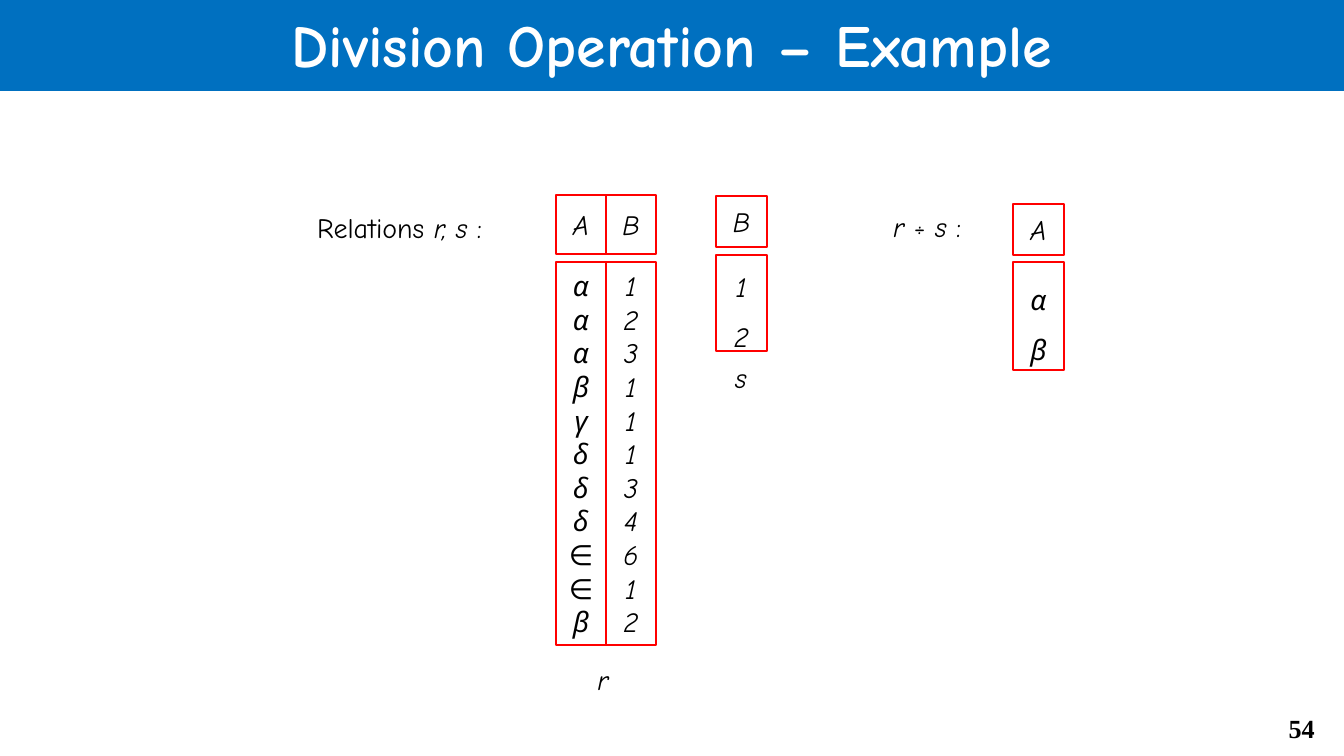
import pptx
import pptx.util
import pptx.dml.color
import pptx.enum.shapes
import pptx.enum.text

BLUE = pptx.dml.color.RGBColor(0x00, 0x70, 0xC0)
RED = pptx.dml.color.RGBColor(0xFF, 0x00, 0x00)
BLACK = pptx.dml.color.RGBColor(0x00, 0x00, 0x00)
WHITE = pptx.dml.color.RGBColor(0xFF, 0xFF, 0xFF)
FONT = "Comic Neue"
NUMBER_FONT = "Times New Roman"

ALIGN = pptx.enum.text.PP_ALIGN
ANCHOR = pptx.enum.text.MSO_ANCHOR
SLIDE_WIDTH, SLIDE_HEIGHT = 1344, 756
EMU_PER_PX = pptx.util.Inches(10) / SLIDE_WIDTH

TITLE = "Division Operation – Example"
PAGE_NUMBER = "54"

# Each relation: left, column width, (header top, height), (body top, height),
# line spacing, and its columns as (attribute, values).
RELATIONS = [
    (556, 50, (195, 59), (262, 383), 1.0,
     [("A", "αααβγδδδ∈∈β"), ("B", "12311134612")]),
    (716, 51, (196, 51), (255, 96), 1.5, [("B", "12")]),
    (1013, 51, (204, 51), (262, 108), 1.5, [("A", "αβ")]),
]
# Relation names: box and text
NAMES = [((583, 656, 40, 47), "r"), ((721, 354, 40, 47), "s")]
# Labels: box and runs of (text, italic)
LABELS = [
    ((304, 204, 223, 36), [("Relations ", False), ("r, s ", True), (":", False)]),
    ((880, 203, 112, 36), [("r ", True), ("÷ ", False), ("s ", True), (":", False)]),
]


def px(*lengths):
    return [pptx.util.Emu(round(length * EMU_PER_PX)) for length in lengths]


def add_run(paragraph, text, size=15, name=FONT, color=BLACK, bold=False, italic=False):
    run = paragraph.add_run()
    run.text = text
    font = run.font
    font.size = pptx.util.Pt(size)
    font.name = name
    font.color.rgb = color
    font.bold = bold
    font.italic = italic


def add_text(slide, box, runs, align=ALIGN.LEFT, anchor=ANCHOR.TOP, wrap=True):
    """Add a one-paragraph text box; runs are (text, font options)."""
    frame = slide.shapes.add_textbox(*px(*box)).text_frame
    frame.word_wrap = wrap
    frame.vertical_anchor = anchor
    paragraph = frame.paragraphs[0]
    paragraph.alignment = align
    for text, options in runs:
        add_run(paragraph, text, **options)


def add_cell(slide, box, lines, spacing=1.0):
    """Add a red outlined box with one centred italic paragraph per line."""
    shape = slide.shapes.add_shape(pptx.enum.shapes.MSO_SHAPE.RECTANGLE, *px(*box))
    shape.shadow.inherit = False
    shape.fill.background()
    shape.line.color.rgb = RED
    shape.line.width = pptx.util.Pt(0.75)
    frame = shape.text_frame
    frame.word_wrap = False
    frame.vertical_anchor = ANCHOR.MIDDLE
    for index, line in enumerate(lines):
        paragraph = frame.add_paragraph() if index else frame.paragraphs[0]
        paragraph.alignment = ALIGN.CENTER
        paragraph.line_spacing = spacing
        add_run(paragraph, line, italic=True)


def add_title(slide):
    title = slide.shapes.title
    title.left, title.top, title.width, title.height = px(0, -3, SLIDE_WIDTH, 94)
    title.fill.solid()
    title.fill.fore_color.rgb = BLUE
    frame = title.text_frame
    frame.auto_size = pptx.enum.text.MSO_AUTO_SIZE.NONE
    frame.vertical_anchor = ANCHOR.MIDDLE
    paragraph = frame.paragraphs[0]
    paragraph.alignment = ALIGN.CENTER
    add_run(paragraph, TITLE, size=32, color=WHITE, bold=True)


def main():
    presentation = pptx.Presentation()
    presentation.slide_width, presentation.slide_height = px(SLIDE_WIDTH, SLIDE_HEIGHT)
    slide = presentation.slides.add_slide(presentation.slide_layouts[5])
    slide.background.fill.solid()
    slide.background.fill.fore_color.rgb = WHITE

    add_title(slide)
    for box, runs in LABELS:
        add_text(slide, box, [(text, {"italic": italic}) for text, italic in runs])
    for left, width, header, body, spacing, columns in RELATIONS:
        for index, (attribute, values) in enumerate(columns):
            column_left = left + index * width
            add_cell(slide, (column_left, header[0], width, header[1]), [attribute])
            add_cell(slide, (column_left, body[0], width, body[1]), values, spacing)
    for box, name in NAMES:
        add_text(slide, box, [(name, {"italic": True})], ALIGN.CENTER, ANCHOR.MIDDLE, False)
    add_text(slide, (1243, 706, 85, 46),
             [(PAGE_NUMBER, {"size": 14, "name": NUMBER_FONT, "bold": True})], ALIGN.RIGHT)
    presentation.save("out.pptx")


if __name__ == "__main__":
    main()
